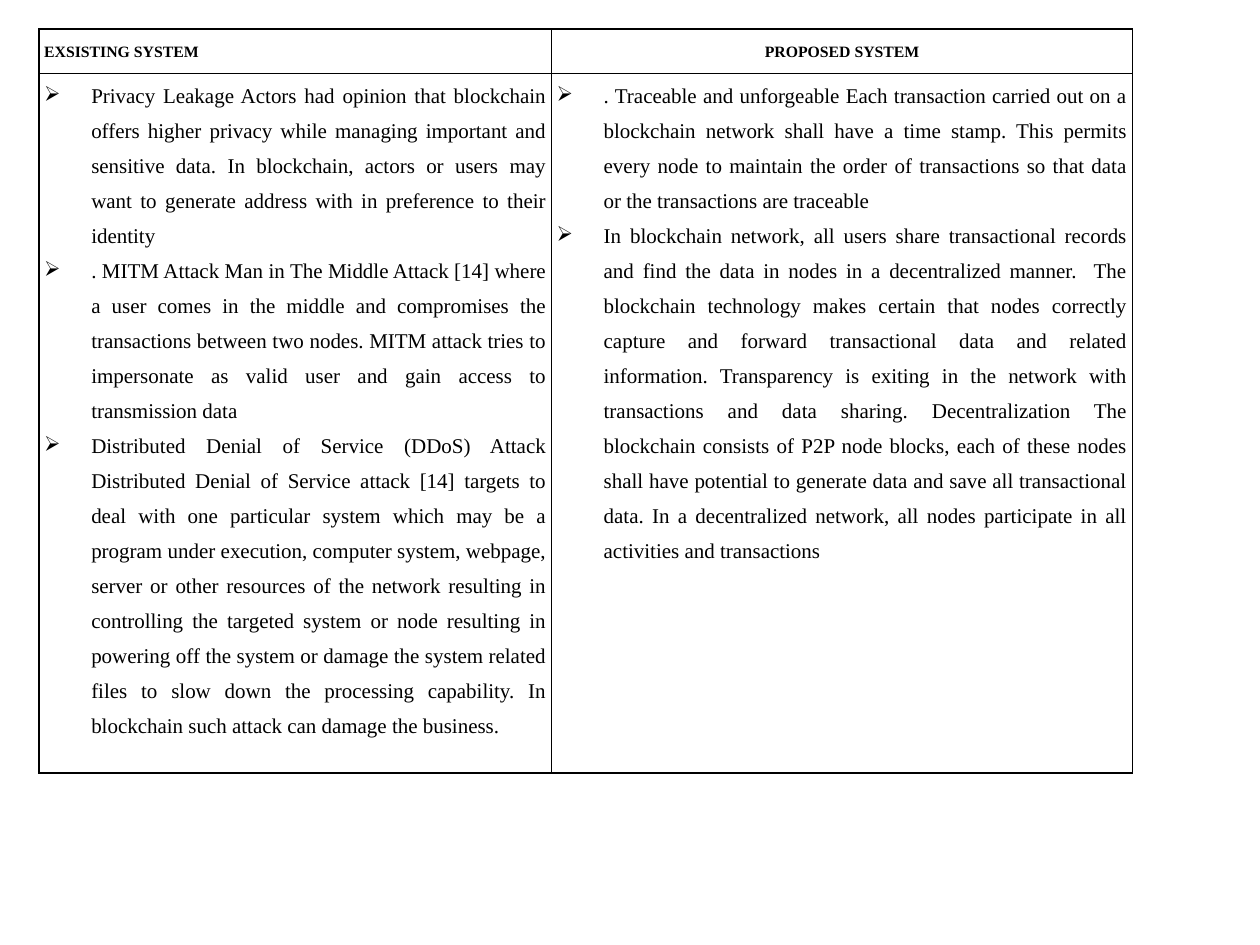
from dataclasses import dataclass
from lxml.etree import SubElement as Sub
from pptx import Presentation
from pptx.dml.color import RGBColor as Rgb
from pptx.enum.text import MSO_ANCHOR as Anchor, PP_ALIGN as Align
from pptx.oxml.ns import qn
from pptx.util import Cm, Pt


@dataclass(frozen=True)
class Theme:
    font: str = "Times New Roman"
    ink: str = "000000"
    head: float = 9
    body: float = 12
    rule: float = 1


class Deck:
    def __init__(self, theme, wide, high):
        self.theme = theme
        self.prs = Presentation()
        self.prs.slide_width, self.prs.slide_height = Cm(wide), Cm(high)
        self.slide = self.prs.slides.add_slide(self.prs.slide_layouts[6])

    def style(self, para, size, bold=False):
        font = para.font
        font.name, font.size, font.bold = self.theme.font, Pt(size), bold
        font.color.rgb = Rgb.from_string(self.theme.ink)

    def frame(self, cell):
        cell.margin_left = cell.margin_right = Cm(0.1)
        cell.margin_top = cell.margin_bottom = 0
        props = cell._tc.get_or_add_tcPr()
        for side in ("lnL", "lnR", "lnT", "lnB"):
            line = Sub(props, qn(f"a:{side}"), w=str(Pt(self.theme.rule)))
            fill = Sub(line, qn("a:solidFill"))
            Sub(fill, qn("a:srgbClr"), val=self.theme.ink)
        cell.fill.background()

    def head(self, cell, text, align):
        cell.vertical_anchor = Anchor.MIDDLE
        para = cell.text_frame.paragraphs[0]
        para.text, para.alignment = text, align
        para.line_spacing = 1.07
        self.style(para, self.theme.head, True)

    def points(self, cell, items):
        box = cell.text_frame
        for i, text in enumerate(items):
            para = box.add_paragraph() if i else box.paragraphs[0]
            para.text, para.alignment = text, Align.JUSTIFY
            para.line_spacing = 1.5
            props = para._p.get_or_add_pPr()
            props.set("marL", str(Cm(0.95)))
            props.set("indent", str(-Cm(0.95)))
            Sub(props, qn("a:buChar"), char="➢")
            self.style(para, self.theme.body)

    def table(self, left, top, cols, rows, data):
        shape = self.slide.shapes.add_table(
            len(rows), len(cols), Cm(left), Cm(top), Cm(sum(cols)), Cm(sum(rows)))
        grid = shape.table
        grid.first_row = grid.horz_banding = False
        for row, high in zip(grid.rows, rows):
            row.height = Cm(high)
        for i, (wide, (title, align, items)) in enumerate(zip(cols, data)):
            grid.columns[i].width = Cm(wide)
            self.head(grid.cell(0, i), title, align)
            self.points(grid.cell(1, i), items)
        for cell in grid.iter_cells():
            self.frame(cell)


OLD = [
    "Privacy Leakage Actors had opinion that blockchain offers higher privacy "
    "while managing important and sensitive data. In blockchain, actors or users "
    "may want to generate address with in preference to their identity",
    ". MITM Attack Man in The Middle Attack [14] where a user comes in the middle "
    "and compromises the transactions between two nodes. MITM attack tries to "
    "impersonate as valid user and gain access to transmission data",
    "Distributed Denial of Service (DDoS) Attack Distributed Denial of Service "
    "attack [14] targets to deal with one particular system which may be a program "
    "under execution, computer system, webpage, server or other resources of the "
    "network resulting in controlling the targeted system or node resulting in "
    "powering off the system or damage the system related files to slow down the "
    "processing capability. In blockchain such attack can damage the business.",
]
NEW = [
    ". Traceable and unforgeable Each transaction carried out on a blockchain "
    "network shall have a time stamp. This permits every node to maintain the "
    "order of transactions so that data or the transactions are traceable",
    "In blockchain network, all users share transactional records and find the "
    "data in nodes in a decentralized manner.  The blockchain technology makes "
    "certain that nodes correctly capture and forward transactional data and "
    "related information. Transparency is exiting in the network with transactions "
    "and data sharing. Decentralization The blockchain consists of P2P node blocks, "
    "each of these nodes shall have potential to generate data and save all "
    "transactional data. In a decentralized network, all nodes participate in all "
    "activities and transactions",
]


def main():
    deck = Deck(Theme(), 25.4, 19.05)
    deck.table(0.79, 0.58, (10.33, 11.71), (0.9, 14.1), [
        ("EXSISTING SYSTEM", Align.LEFT, OLD),
        ("PROPOSED SYSTEM", Align.CENTER, NEW),
    ])
    deck.prs.save("out.pptx")


if __name__ == "__main__":
    main()
